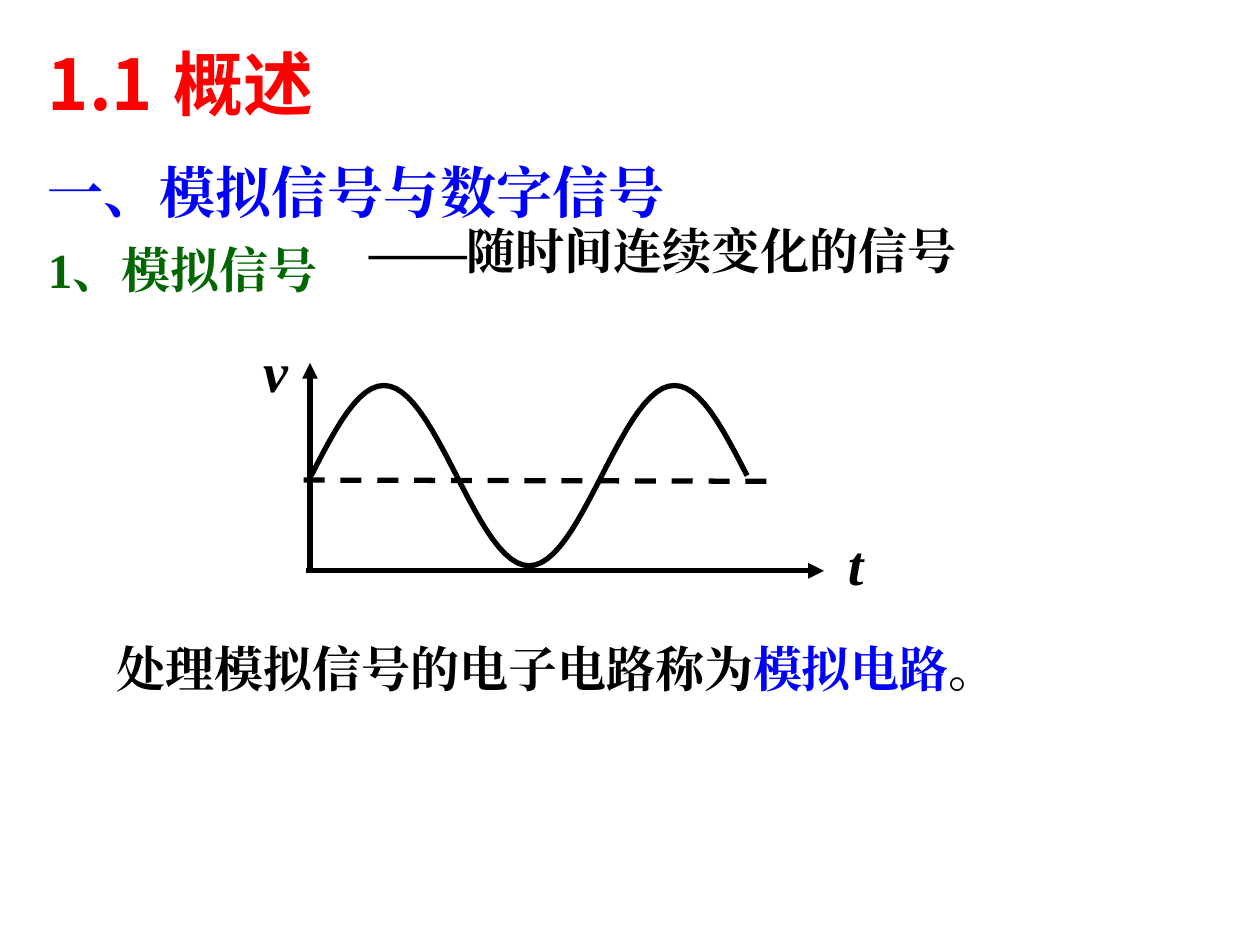
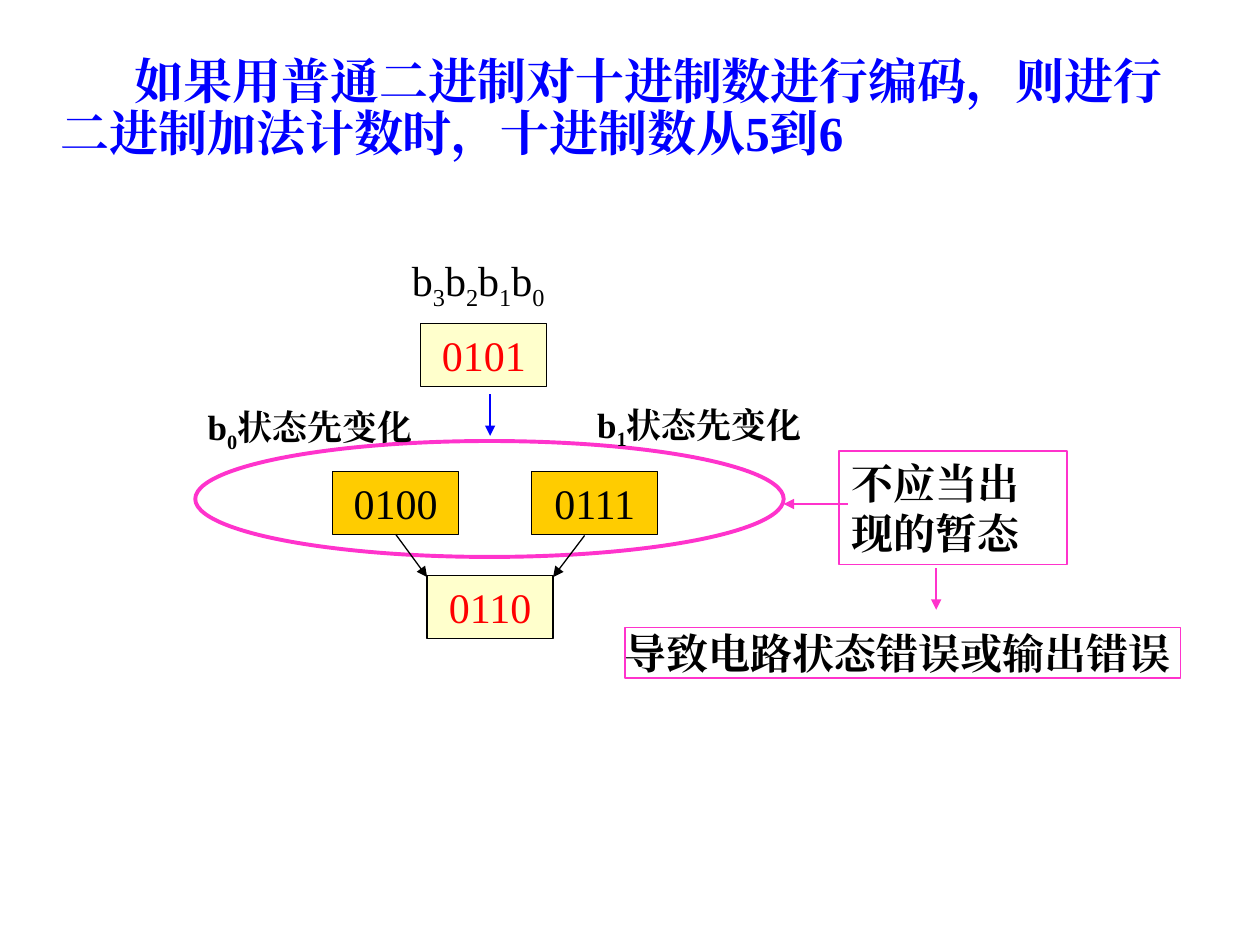
"""Build two slides on analog signals and binary code states."""
import math
from lxml import etree
from pptx import Presentation, util as u
from pptx.dml.color import RGBColor
from pptx.enum import dml, shapes, text
from pptx.oxml.ns import qn

BLACK = RGBColor(0, 0, 0)
RED = RGBColor(255, 0, 0)
BLUE = RGBColor(0, 0, 255)
GREEN = RGBColor(0, 0x66, 0)
PINK = RGBColor(0xFF, 0x33, 0xCC)
GOLD = RGBColor(0xFF, 0xCC, 0)
CREAM = RGBColor(0xFF, 0xFF, 0xCC)
SERIF, SANS = "Times New Roman", "Noto Sans CJK SC"
CELL = u.Inches(0.1)
COLS, ROWS = 100, 75
PLAIN = {"name": SERIF, "size": 24, "bold": False, "italic": False, "color": BLACK}
BOLD = {**PLAIN, "bold": True}
TOP, LEFT = text.MSO_ANCHOR.TOP, text.PP_ALIGN.LEFT


def write(shape, paras, place=None, anchor=TOP, align=LEFT, inset=(1, 0.5), wrap=True, **para):
    """Fill a shape with paragraphs, each a list of (text, format) runs."""
    if place:
        for side, cells in zip(("left", "top", "width", "height"), place):
            setattr(shape, side, int(cells * CELL))
    frame = shape.text_frame
    flags = {"word_wrap": wrap, "auto_size": text.MSO_AUTO_SIZE.NONE, "vertical_anchor": anchor,
             "margin_left": int(inset[0] * CELL), "margin_right": int(inset[0] * CELL),
             "margin_top": int(inset[1] * CELL), "margin_bottom": int(inset[1] * CELL)}
    for key, value in flags.items():
        setattr(frame, key, value)
    for i, runs in enumerate(paras):
        line = frame.add_paragraph() if i else frame.paragraphs[0]
        props = line._p.get_or_add_pPr()
        props.set("marL", str(int(para.get("margin", 0) * CELL)))
        props.set("indent", str(int(para.get("indent", 0) * CELL)))
        line.alignment, line.space_before = align, u.Pt(0)
        line.line_spacing = para.get("spacing", 1.0)
        etree.SubElement(props, qn("a:buNone"))
        if "tab" in para:
            tabs = etree.SubElement(props, qn("a:tabLst"))
            etree.SubElement(tabs, qn("a:tab"), pos=str(int(para["tab"] * CELL)), algn="l")
        for words, form in runs:
            run = line.add_run()
            run.text = words
            for key in ("name", "bold", "italic"):
                setattr(run.font, key, form[key])
            run.font.size = u.Pt(form["size"])
            run.font.color.rgb = form["color"]
            mark = run._r.get_or_add_rPr()
            etree.SubElement(mark, qn("a:ea"), typeface=form["name"])
            if "base" in form:
                mark.set("baseline", str(form["base"] * 1000))


def rule(slide, ends, color, width, arrow=True, dash=None):
    """Draw a straight line between two grid points."""
    line = slide.shapes.add_connector(shapes.MSO_CONNECTOR.STRAIGHT, *(int(n * CELL) for n in ends))
    line.line.color.rgb, line.line.width = color, u.Pt(width)
    if dash:
        line.line.dash_style = dash
    if arrow:
        etree.SubElement(line.line._get_or_add_ln(), qn("a:tailEnd"), type="triangle")
    etree.SubElement(line._element.spPr, qn("a:effectLst"))
    return line


deck = Presentation()
deck.slide_width, deck.slide_height = COLS * CELL, ROWS * CELL

wave = deck.slides.add_slide(deck.slide_layouts[1])
write(wave.shapes.title, [[("1.1\t概述", {**BOLD, "name": SANS, "size": 40, "color": RED})]],
      (2.8, 2.7, 93.6, 8), tab=12.3)
write(wave.placeholders[1],
      [[("一、模拟信号与数字信号", {**BOLD, "size": 32, "color": BLUE})],
       [("1、模拟信号", {**BOLD, "size": 28, "color": GREEN})]],
      (2.8, 10.7, 93.6, 12.2), spacing=1.25)

big = {**BOLD, "size": 28}
axis = {**BOLD, "size": 32, "italic": True}
labels = [
    ((28.3, 17, 63.3, 5.7), [("——随时间连续变化的信号", big)]),
    ((66.3, 41.5, 7.5, 6.4), [("t", axis)]),
    ((19.9, 26.2, 4.8, 6.4), [("v", axis)]),
    ((8.3, 50.2, 81.7, 5.7), [("处理模拟信号的电子电路称为", big),
                              ("模拟电路", {**big, "color": BLUE}), ("。", big)]),
]
for place, runs in labels:
    write(wave.shapes.add_textbox(0, 0, 0, 0), [runs], place)

rule(wave, (24.6, 45.5, 24.6, 28.8), BLACK, 3)
rule(wave, (24.3, 45.3, 65.4, 45.3), BLACK, 3)
rule(wave, (24.1, 38.1, 61.2, 38.2), BLACK, 3, arrow=False, dash=dml.MSO_LINE.DASH)
START, MID, HALF, PEAK, STEPS = 24.7, 37.75, 11.53, 7.15, 24
for k in range(3):
    dots = [((START + HALF * (k + i / STEPS)) * CELL,
             (MID - PEAK * math.sin(math.pi * (k + i / STEPS))) * CELL) for i in range(STEPS + 1)]
    pen = wave.shapes.build_freeform(*dots[0])
    pen.add_line_segments(dots[1:], close=False)
    curve = pen.convert_to_shape()
    curve.shadow.inherit = False
    curve.fill.background()
    curve.line.color.rgb, curve.line.width = BLACK, u.Pt(3)

code = deck.slides.add_slide(deck.slide_layouts[5])
write(code.shapes.title,
      [[("如果用普通二进制对十进制数进行编码，则进行二进制加法计数时，十进制数从5到6",
         {**big, "color": BLUE})]],
      (0, 4, 95.8, 9.9), margin=3.8, indent=5.9, spacing=0.9)

RECT, OVAL = shapes.MSO_SHAPE.RECTANGLE, shapes.MSO_SHAPE.OVAL
MIDDLE, CENTER = text.MSO_ANCHOR.MIDDLE, text.PP_ALIGN.CENTER
state = {"align": CENTER}
forms = [
    (RECT, (26.4, 37.4, 10, 5), GOLD, BLACK, 0.75, "0100", PLAIN, state),
    (RECT, (42.2, 37.4, 10, 5), GOLD, BLACK, 0.75, "0111", PLAIN, state),
    (RECT, (33.9, 45.7, 10, 5), CREAM, BLACK, 0.75, "0110", {**PLAIN, "color": RED}, state),
    (RECT, (33.4, 25.7, 10, 5), CREAM, BLACK, 0.75, "0101", {**PLAIN, "color": RED}, state),
    (OVAL, (15.5, 35, 46.7, 9.2), None, PINK, 2.25, "", PLAIN, {}),
    (RECT, (66.6, 35.8, 18.1, 9), None, PINK, 0.75, "不应当出现的暂态", BOLD, {}),
    (RECT, (49.6, 49.8, 44.1, 4), None, PINK, 1, "导致电路状态错误或输出错误", BOLD,
     {"anchor": MIDDLE, "inset": (0, 0), "wrap": False}),
]
made = {}
for kind, place, fill, edge, width, words, form, opts in forms:
    box = code.shapes.add_shape(kind, *(int(n * CELL) for n in place))
    box.shadow.inherit = False
    if fill:
        box.fill.solid()
        box.fill.fore_color.rgb = fill
    else:
        box.fill.background()
    box.line.color.rgb, box.line.width = edge, u.Pt(width)
    if words:
        write(box, [[(words, form)]], **opts)
    made[words] = box

small = {**BOLD, "size": 20}
bits = [run for n in "3210" for run in (("b", PLAIN), (n, {**PLAIN, "base": -25}))]
notes = [((31.7, 19.7, 19.2, 5.6), bits)]
for left, top, n in ((15.5, 31.7, "0"), (46.4, 31.5, "1")):
    notes.append(((left, top, 21.7, 4.8),
                  [("b", small), (n, {**small, "base": -25}), ("状态先变化", small)]))
for place, runs in notes:
    write(code.shapes.add_textbox(0, 0, 0, 0), [runs], place)

rule(code, (38.9, 31.3, 38.9, 34.6), BLUE, 1.5)
rule(code, (46.4, 42.5, 43.9, 45.8), BLACK, 0.75)
rule(code, (31.4, 42.4, 33.9, 45.8), BLACK, 0.75).begin_connect(made["0100"], 2)
rule(code, (67.3, 40, 62.2, 40), PINK, 0.75)
rule(code, (74.3, 45.1, 74.3, 48.4), PINK, 1.5)

deck.save("out.pptx")
